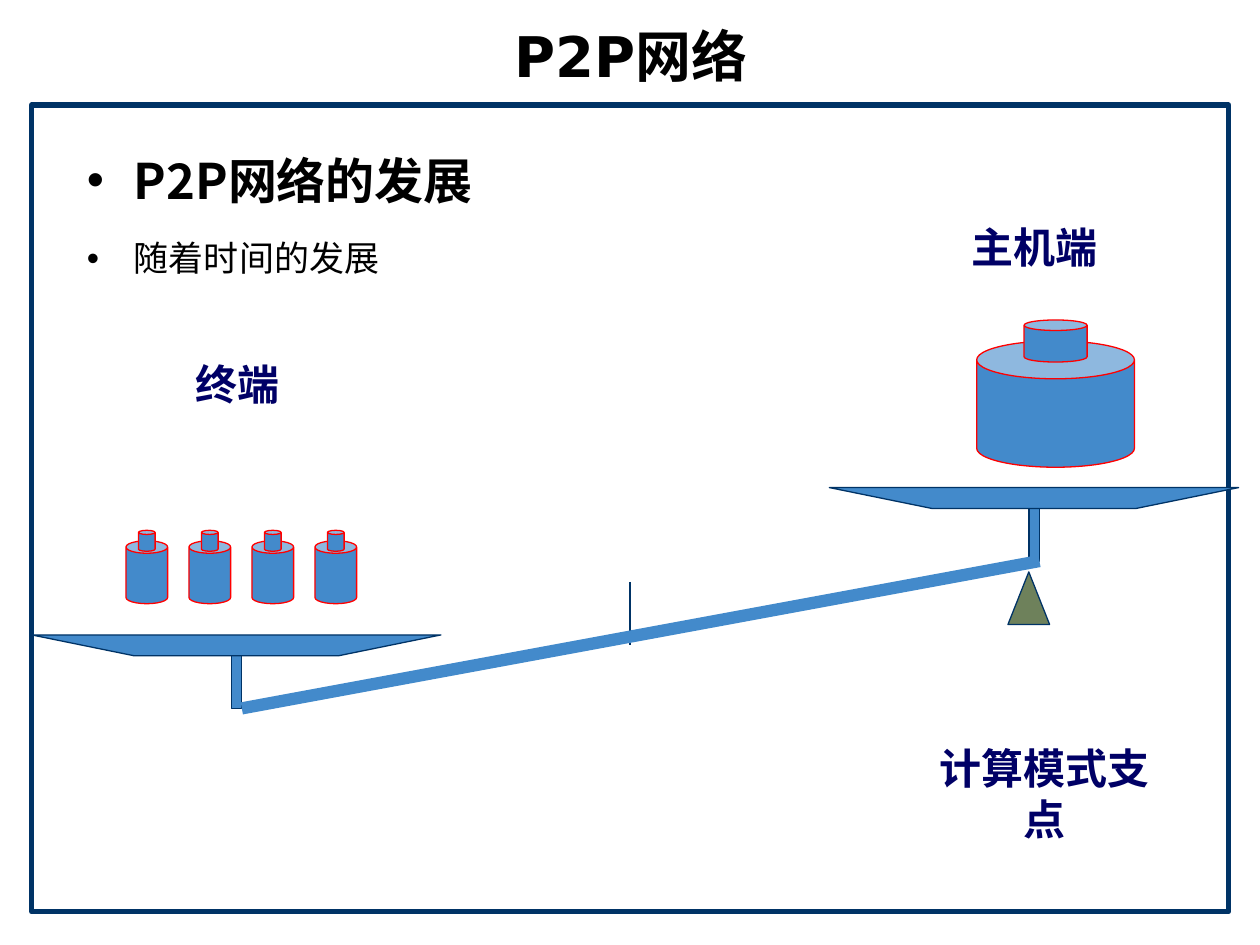
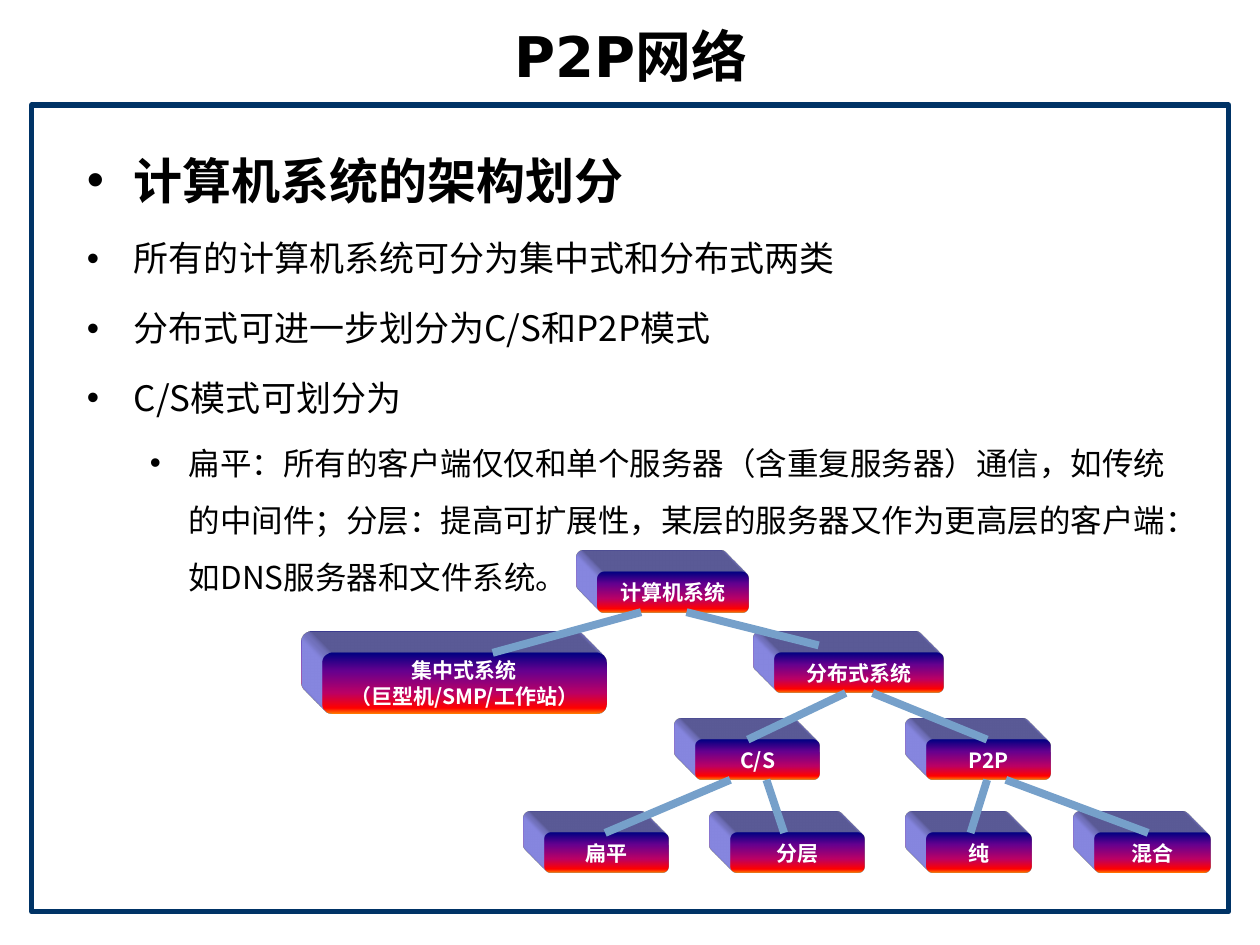
from collections import namedtuple

from lxml import etree
from pptx import Presentation
from pptx.dml.color import RGBColor
from pptx.enum.shapes import MSO_CONNECTOR, MSO_SHAPE
from pptx.enum.text import MSO_ANCHOR, PP_ALIGN
from pptx.oxml import parse_xml
from pptx.oxml.ns import nsdecls, qn
from pptx.util import Cm, Pt

Box = namedtuple("Box", "left top width height")

COLORS = {
    "paper": "FFFFFF",
    "ink": "000000",
    "frame": "003366",
    "steel": "438ACB",
    "fulcrum": "6E815B",
    "weight_edge": "FF0000",
    "label": "000066",
    "branch": "76A0CA",
    "depth": "9999FF",
}
SUNSET = [(0, "000082"), (30, "66008F"), (65, "BA0066"), (90, "FF0000"), (100, "FF8200")]
CJK = "Noto Sans CJK SC"
FORMATS = {
    "title": {"size": Pt(32), "bold": True, "name": "DejaVu Sans"},
    "heading": {"size": Pt(28), "bold": True, "name": CJK},
    "point": {"size": Pt(20), "bold": False, "name": CJK},
    "detail": {"size": Pt(18), "bold": False, "name": CJK},
    "label": {"size": Pt(24), "bold": True, "name": "Times New Roman"},
    "node": {"size": Pt(12), "bold": True, "name": CJK},
}
INDENTS = {"heading": (0.95, 0.95), "point": (0.95, 0.95), "detail": (2.06, 0.79)}
CENTRED = {"word_wrap": False, "vertical_anchor": MSO_ANCHOR.MIDDLE}

FRAME = Box(0.64, 2.12, 24.13, 16.26)
TITLE = Box(0.69, 0.33, 24.08, 1.57)
BODY = Box(1.5, 2.31, 22.86, 15.21)

DEVELOPMENT = [("heading", "P2P网络的发展"), ("point", "随着时间的发展")]
ARCHITECTURE = [
    ("heading", "计算机系统的架构划分"),
    ("point", "所有的计算机系统可分为集中式和分布式两类"),
    ("point", "分布式可进一步划分为C/S和P2P模式"),
    ("point", "C/S模式可划分为"),
    ("detail", "扁平：所有的客户端仅仅和单个服务器（含重复服务器）通信，如传统的中间件；"
               "分层：提高可扩展性，某层的服务器又作为更高层的客户端：如DNS服务器和文件系统。"),
]
ROWS = [9.41, 11.04, 12.79, 14.67]
NODES = {
    "系统": (["计算机系统"], 0, 11.4, 3.05),
    "混合": (["混合"], 3, 21.43, 2.34),
    "纯": (["纯"], 3, 18.03, 2.13),
    "分层": (["分层"], 3, 14.09, 2.69),
    "扁平": (["扁平"], 3, 10.33, 2.51),
    "P2P": (["P2P"], 2, 18.03, 2.51),
    "C/S": (["C/S"], 2, 13.38, 2.51),
    "分布": (["分布式系统"], 1, 14.98, 3.4),
    "集中": (["集中式系统", "（巨型机/SMP/工作站）"], 1, 5.86, 5.72),
}
BRANCHES = [
    ("系统", 0.29, "集中", 0.6, 0),
    ("系统", 0.59, "分布", 0.26, 0.15),
    ("分布", 0.42, "C/S", 0.42, 0),
    ("分布", 0.58, "P2P", 0.49, 0),
    ("C/S", 0.28, "扁平", 0.49, 0),
    ("C/S", 0.57, "分层", 0.4, 0),
    ("P2P", 0.49, "纯", 0.42, 0),
    ("P2P", 0.64, "混合", 0.46, 0),
]


def color(key):
    return RGBColor.from_string(COLORS[key])


def apply(target, formats):
    for attribute, value in formats.items():
        setattr(target, attribute, value)


def within(box, left, top, width, height):
    return Box(box.left + left, box.top + top, width, height)


def paint(shape, fill, edge, weight=0.75):
    shape.shadow.inherit = False
    shape.fill.solid()
    shape.fill.fore_color.rgb = color(fill)
    shape.line.color.rgb = color(edge)
    shape.line.width = Pt(weight)


def solid(slide, preset, box, fill, edge, weight=0.75):
    shape = slide.shapes.add_shape(preset, *map(Cm, box))
    paint(shape, fill, edge, weight)
    return shape


def stroke(slide, start, end, ink, weight):
    line = slide.shapes.add_connector(MSO_CONNECTOR.STRAIGHT, *map(Cm, (*start, *end)))
    line.line.color.rgb = color(ink)
    line.line.width = Pt(weight)
    etree.SubElement(line._element.spPr, qn("a:effectLst"))


def write(paragraph, text, style, ink):
    run = paragraph.add_run()
    run.text = text
    apply(run.font, FORMATS[style])
    run.font.color.rgb = color(ink)
    etree.SubElement(run._r.get_or_add_rPr(), qn("a:ea"), typeface=CJK)


def centre_lines(shape, lines, style, ink):
    frame = shape.text_frame
    apply(frame, CENTRED)
    for number, text in enumerate(lines):
        paragraph = frame.add_paragraph() if number else frame.paragraphs[0]
        paragraph.alignment = PP_ALIGN.CENTER
        write(paragraph, text, style, ink)


def caption(slide, box, text, style="label", ink="label"):
    centre_lines(slide.shapes.add_textbox(*map(Cm, box)), [text], style, ink)


def bullet(paragraph, style):
    margin, hang = INDENTS[style]
    properties = paragraph._p.get_or_add_pPr()
    properties.set("marL", str(Cm(margin)))
    properties.set("indent", str(-Cm(hang)))
    tint = etree.SubElement(properties, qn("a:buClr"))
    etree.SubElement(tint, qn("a:srgbClr"), val=COLORS["ink"])
    etree.SubElement(properties, qn("a:buFont"), typeface="Arial")
    etree.SubElement(properties, qn("a:buChar"), char="•")


def outline(slide, box, points):
    frame = slide.shapes.add_textbox(*map(Cm, box)).text_frame
    frame.word_wrap = True
    for number, (style, text) in enumerate(points):
        paragraph = frame.add_paragraph() if number else frame.paragraphs[0]
        before = FORMATS[style]["size"].pt * 0.2 if number else 0
        apply(paragraph, {"line_spacing": 1.5, "space_before": Pt(before),
                          "level": int(style == "detail")})
        bullet(paragraph, style)
        write(paragraph, text, style, "ink")


def start_slide(deck, points):
    slide = deck.slides.add_slide(deck.slide_layouts[6])
    solid(slide, MSO_SHAPE.RECTANGLE, FRAME, "paper", "frame", 3)
    outline(slide, BODY, points)
    caption(slide, TITLE, "P2P网络", "title", "ink")
    return slide


def scale_pan(slide, box):
    post = within(box, box.width / 2 - 0.1, box.height, 0.21, 1.06)
    solid(slide, MSO_SHAPE.RECTANGLE, post, "steel", "frame")
    right, bottom = box.left + box.width, box.top + box.height
    rim = [(box.left, box.top), (box.left + box.width / 4, bottom),
           (right - box.width / 4, bottom), (right, box.top)]
    corners = [(Cm(x), Cm(y)) for x, y in rim]
    builder = slide.shapes.build_freeform(*corners[0])
    builder.add_line_segments(corners[1:], close=True)
    paint(builder.convert_to_shape(), "steel", "frame")
    return post.left + post.width, post.top + post.height


def weight(slide, box):
    body = within(box, 0, box.height / 7, box.width, box.height * 6 / 7)
    knob = within(box, box.width * 0.3, 0, box.width * 0.4, box.height * 2 / 7)
    for part, curve in ((body, 0.3), (knob, 0.25)):
        can = solid(slide, MSO_SHAPE.CAN, part, "steel", "weight_edge")
        can.adjustments[0] = curve


def balance(slide, box):
    terminal_end = scale_pan(slide, within(box, 0, 10.68, 8.25, 0.42))
    host_end = scale_pan(slide, within(box, 16.08, 7.71, 8.25, 0.42))
    fulcrum = within(box, 19.68, 9.41, 0.84, 1.06)
    solid(slide, MSO_SHAPE.ISOSCELES_TRIANGLE, fulcrum, "fulcrum", "frame")
    axis = within(box, 12.06, 9.61, 0, 1.27)
    stroke(slide, axis[:2], (axis.left, axis.top + axis.height), "frame", 0.75)
    weight(slide, within(box, 19.05, 4.33, 3.18, 2.97))
    for number in range(4):
        weight(slide, within(box, 1.9 + 1.27 * number, 8.57, 0.84, 1.48))
    stroke(slide, terminal_end, host_end, "steel", 7)
    for text, left, top in (("主机端", 17.78, 2), ("终端", 1.7, 4.76),
                            ("计算模式支点", 17.98, 13.02)):
        caption(slide, within(box, left, top, 4.88, 1.7), text)


def extrude(shape):
    stops = "".join(f'<a:gs pos="{place * 1000}"><a:srgbClr val="{tint}"/></a:gs>'
                    for place, tint in SUNSET)
    properties = shape._element.spPr
    gradient = parse_xml(f'<a:gradFill {nsdecls("a")}><a:gsLst>{stops}</a:gsLst>'
                         '<a:lin ang="5400000" scaled="1"/></a:gradFill>')
    properties.replace(properties.find(qn("a:solidFill")), gradient)
    properties.append(parse_xml(
        f'<a:scene3d {nsdecls("a")}><a:camera prst="legacyObliqueTopLeft"/>'
        '<a:lightRig rig="legacyFlat3" dir="b"/></a:scene3d>'))
    properties.append(parse_xml(
        f'<a:sp3d {nsdecls("a")} extrusionH="430200" prstMaterial="legacyMatte">'
        '<a:bevelT w="13500" h="13500" prst="angle"/>'
        '<a:bevelB w="13500" h="13500" prst="angle"/>'
        f'<a:extrusionClr><a:srgbClr val="{COLORS["depth"]}"/></a:extrusionClr></a:sp3d>'))


def system_tree(slide, box):
    places = {}
    for key, (lines, row, left, width) in NODES.items():
        place = within(box, left, ROWS[row], width, 0.4 + 0.41 * len(lines))
        node = solid(slide, MSO_SHAPE.ROUNDED_RECTANGLE, place, "depth", "depth")
        node.line.fill.background()
        extrude(node)
        centre_lines(node, lines, "node", "paper")
        places[key] = place
    for parent, leave, child, arrive, lift in BRANCHES:
        upper, lower = places[parent], places[child]
        stroke(slide, (upper.left + leave * upper.width, upper.top + upper.height),
               (lower.left + arrive * lower.width, lower.top - lift), "branch", 4.5)


def main():
    deck = Presentation()
    apply(deck, {"slide_width": Cm(25.4), "slide_height": Cm(19.05)})
    balance(start_slide(deck, DEVELOPMENT), FRAME)
    system_tree(start_slide(deck, ARCHITECTURE), FRAME)
    deck.save("out.pptx")


if __name__ == "__main__":
    main()
